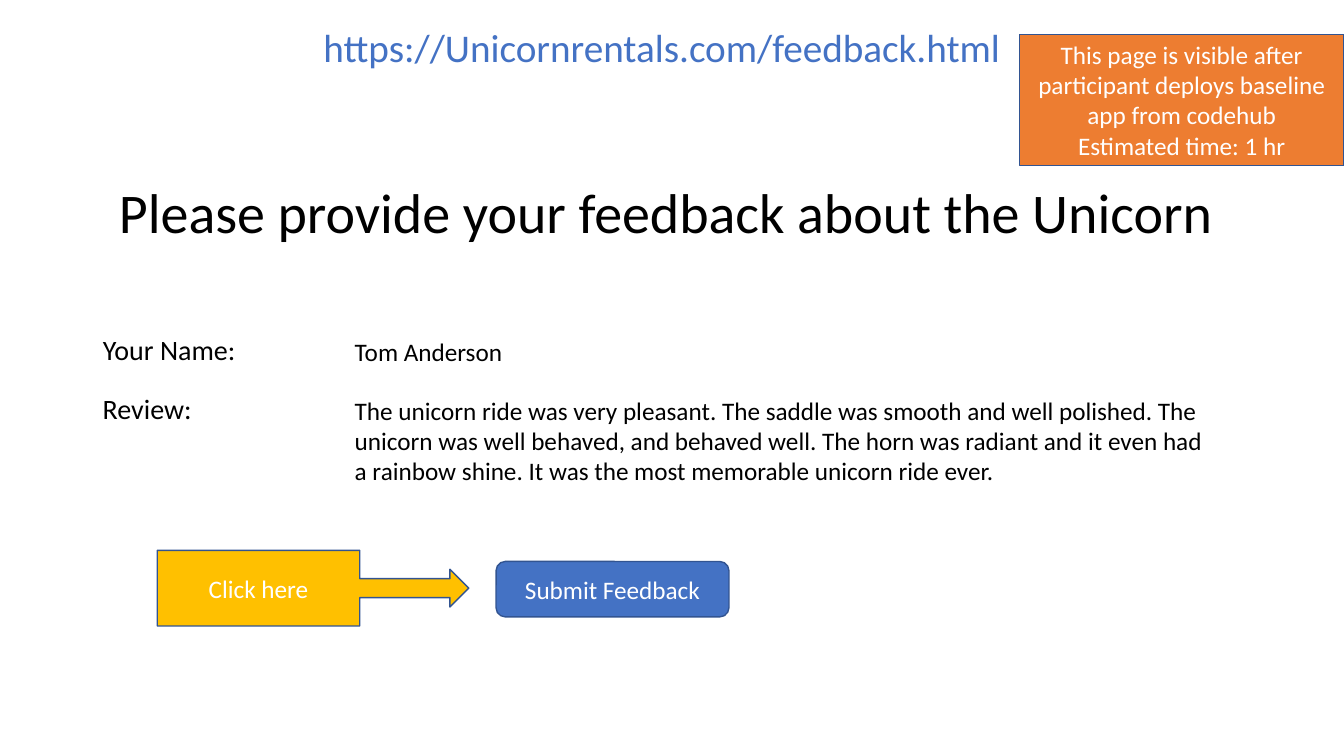
from pptx import Presentation
from pptx.dml.color import RGBColor
from pptx.enum.shapes import MSO_SHAPE
from pptx.enum.text import MSO_ANCHOR, MSO_AUTO_SIZE, PP_ALIGN
from pptx.oxml.ns import qn
from pptx.util import Inches, Pt

BLACK = RGBColor(0x00, 0x00, 0x00)
WHITE = RGBColor(0xFF, 0xFF, 0xFF)
BLUE = RGBColor(0x44, 0x72, 0xC4)
OUTLINE = RGBColor(0x32, 0x54, 0x91)
ORANGE = RGBColor(0xED, 0x7D, 0x31)
AMBER = RGBColor(0xFF, 0xC0, 0x00)

REVIEW = ("The unicorn ride was very pleasant. The saddle was smooth and well "
          "polished. The unicorn was well behaved, and behaved well. The horn was "
          "radiant and it even had a rainbow shine. It was the most memorable "
          "unicorn ride ever.")


def place(sp, box):
    """Move a shape to box: left, top, width, height in inches."""
    sp.left, sp.top, sp.width, sp.height = map(Inches, box)


def write(sp, lines, size, color=BLACK, align=PP_ALIGN.LEFT,
          anchor=MSO_ANCHOR.TOP, spacing=1.0, before=0):
    """Fill a shape with one formatted paragraph per line."""
    tf = sp.text_frame
    tf.text = "\n".join(lines)
    tf.word_wrap = True
    tf.auto_size = MSO_AUTO_SIZE.NONE
    tf.vertical_anchor = anchor
    for p in tf.paragraphs:
        p.alignment = align
        p.line_spacing = spacing
        p.space_before = Pt(before)
        p.font.name = "Calibri"
        p.font.size = Pt(size)
        p.font.color.rgb = color


def add_text(s, box, text, size, **style):
    """Add a text box at box."""
    sp = s.shapes.add_textbox(*map(Inches, box))
    write(sp, [text], size, **style)


def add_button(s, kind, box, lines, fill):
    """Add a filled, outlined shape with centred white text."""
    sp = s.shapes.add_shape(kind, *map(Inches, box))
    sp.shadow.inherit = False
    sp.fill.solid()
    sp.fill.fore_color.rgb = fill
    sp.line.color.rgb = OUTLINE
    sp.line.width = Pt(1)
    write(sp, lines, 18, WHITE, PP_ALIGN.CENTER, MSO_ANCHOR.MIDDLE)


def add_header(s, box):
    """Place the page address, the timing note and the title."""
    x, y, w, h = box
    add_text(s, (x + 3.11, y + 0.08, 8.2, 0.83),
             "https://Unicornrentals.com/feedback.html", 28,
             color=BLUE, anchor=MSO_ANCHOR.MIDDLE, spacing=0.9)
    add_button(s, MSO_SHAPE.RECTANGLE, (x + w - 3.22, y + 0.34, 3.22, 1.3),
               ["This page is visible after participant deploys baseline app from codehub",
                "Estimated time: 1 hr"], ORANGE)
    title = s.shapes.title
    place(title, (x + 1.08, y + h - 1.45, 11.5, 1.45))
    write(title, ["Please provide your feedback about the Unicorn"], 40,
          anchor=MSO_ANCHOR.MIDDLE, spacing=0.9)


def add_form(s, box):
    """Place the two labels and their answers in rows."""
    x, y, w, h = box
    row, label_w, answer_x = 0.58, 2.19, 2.5
    body = s.placeholders[1]
    place(body, (x, y, label_w, 0.55))
    write(body, ["Your Name:"], 20, spacing=0.9, before=10)
    pPr = body.text_frame.paragraphs[0]._p.get_or_add_pPr()
    pPr.set("marL", "0")
    pPr.set("indent", "0")
    bullet = pPr.makeelement(qn("a:buNone"), {})
    pPr.find(qn("a:defRPr")).addprevious(bullet)
    add_text(s, (x, y + row, label_w, 0.55), "Review:", 20, spacing=0.9, before=10)
    add_text(s, (x + answer_x, y, 3.6, 0.4), "Tom Anderson", 18)
    add_text(s, (x + answer_x, y + row, w - answer_x, h - row), REVIEW, 18)


def add_submit(s, box):
    """Place the pointing callout and the submit button on one row."""
    x, y, w, h = box
    add_button(s, MSO_SHAPE.RIGHT_ARROW_CALLOUT, (x, y, 3.09, h), ["Click here"], AMBER)
    add_button(s, MSO_SHAPE.ROUNDED_RECTANGLE, (x + w - 2.31, y + 0.11, 2.31, 0.55),
               ["Submit Feedback"], BLUE)


def add_feedback_slide(prs):
    """Build the feedback page."""
    s = prs.slides.add_slide(prs.slide_layouts[1])
    add_header(s, (0, 0, 13.33, 2.86))
    add_form(s, (0.92, 3.29, 11.16, 1.59))
    add_submit(s, (1.56, 5.46, 5.67, 0.75))


prs = Presentation()
prs.slide_width, prs.slide_height = Inches(13.33), Inches(7.5)
add_feedback_slide(prs)
prs.save("out.pptx")
